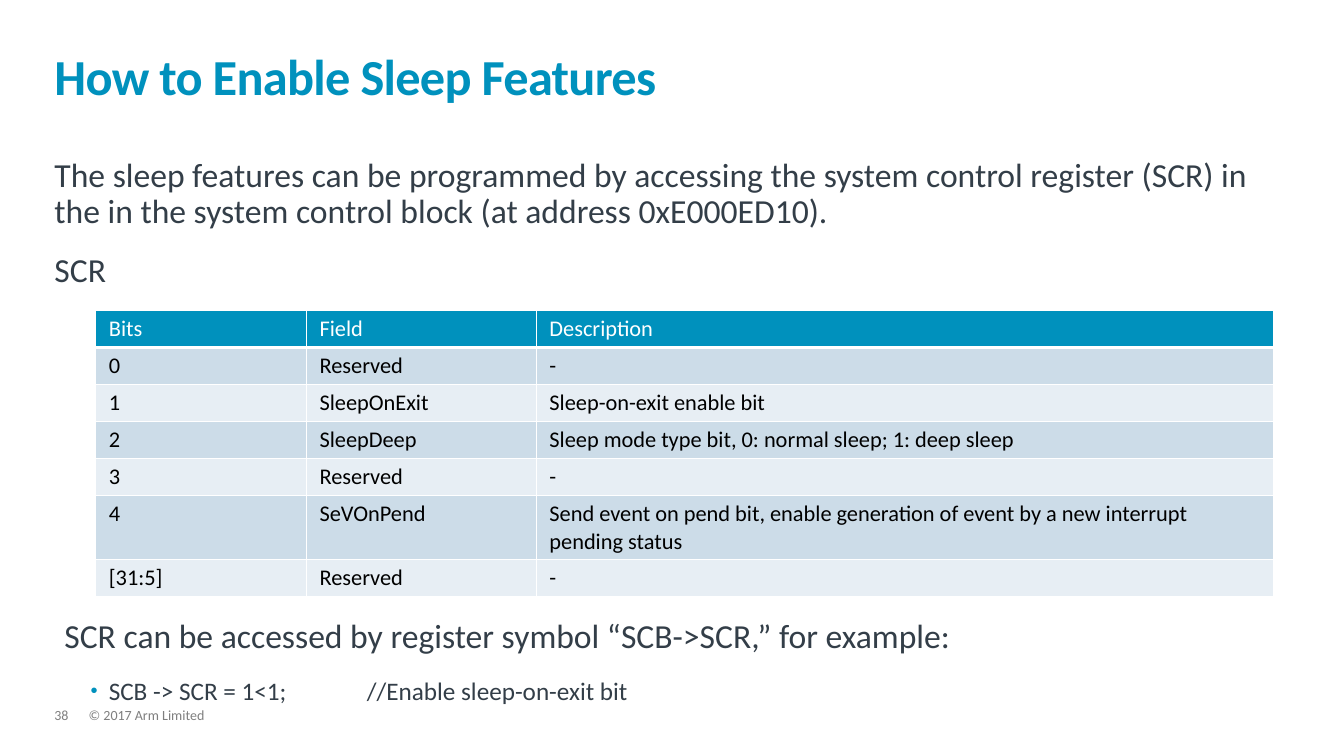
from lxml.etree import SubElement
from pptx import Presentation
from pptx.dml.color import RGBColor
from pptx.enum.text import MSO_ANCHOR, MSO_AUTO_SIZE
from pptx.oxml import parse_xml
from pptx.oxml.ns import nsdecls, qn
from pptx.util import Inches, Pt

BLUE = RGBColor(0x00, 0x91, 0xBD)
SLATE = RGBColor(0x33, 0x3E, 0x48)
GRAY = RGBColor(0x7F, 0x7F, 0x7F)
BLACK = RGBColor(0x00, 0x00, 0x00)
WHITE = RGBColor(0xFF, 0xFF, 0xFF)
BANDS = (RGBColor(0xE7, 0xEE, 0xF4), RGBColor(0xCC, 0xDC, 0xE8))

LEFT = 0.54
WIDTH = 12.23
FIELDS = [
    ("Bits", "Field", "Description"),
    ("0", "Reserved", "-"),
    ("1", "SleepOnExit", "Sleep-on-exit enable bit"),
    ("2", "SleepDeep", "Sleep mode type bit, 0: normal sleep; 1: deep sleep"),
    ("3", "Reserved", "-"),
    ("4", "SeVOnPend", "Send event on pend bit, enable generation of event "
                       "by a new interrupt pending status"),
    ("[31:5]", "Reserved", "-"),
]


class Page:
    def __init__(self, slide, face="Calibri"):
        self.slide = slide
        self.face = face

    def style(self, para, size, color, bold=None):
        for run in para.runs:
            font = run.font
            font.name, font.size, font.bold = self.face, Pt(size), bold
            font.color.rgb = color

    def text(self, box, lines, size, color, after=0, line=0.9, bold=None,
             pad=(0, 0), grow=False):
        """Add a text box; pad holds the side and the top/bottom inset."""
        frame = self.slide.shapes.add_textbox(*map(Inches, box)).text_frame
        frame.word_wrap = True
        frame.auto_size = (MSO_AUTO_SIZE.SHAPE_TO_FIT_TEXT if grow
                           else MSO_AUTO_SIZE.NONE)
        frame.margin_left = frame.margin_right = Inches(pad[0])
        frame.margin_top = frame.margin_bottom = Inches(pad[1])
        frame.text = "\n".join(lines)
        for para in frame.paragraphs:
            para.line_spacing = line
            para.space_after = Pt(after)
            self.style(para, size, color, bold)
        return frame

    def bullet(self, para, size, color, mark):
        props = para._p.get_or_add_pPr()
        props.set("marL", str(Inches(0.44)))
        props.set("indent", str(Inches(-0.18)))
        tint = SubElement(props, qn("a:buClr"))
        SubElement(tint, qn("a:srgbClr"), val=str(mark))
        SubElement(props, qn("a:buSzPct"), val="80000")
        SubElement(props, qn("a:buFont"), typeface="Arial")
        SubElement(props, qn("a:buChar"), char="•")
        para.line_spacing = 0.9
        para.space_after = Pt(12)
        self.style(para, size, color)

    def edges(self, cell, top, bottom):
        """Draw white cell borders, with the given top and bottom widths."""
        props = cell._tc.get_or_add_tcPr()
        for side, width in (("L", 1), ("R", 1), ("T", top), ("B", bottom)):
            props.append(parse_xml(
                f'<a:ln{side} {nsdecls("a")} w="{Pt(width)}"><a:solidFill>'
                f'<a:srgbClr val="{WHITE}"/></a:solidFill></a:ln{side}>'))

    def table(self, box, rows, widths, heights):
        grid = self.slide.shapes.add_table(
            len(rows), len(widths), *map(Inches, box)).table
        grid.first_row = grid.horz_banding = False
        for col, width in zip(grid.columns, widths):
            col.width = Inches(width)
        for r, row in enumerate(rows):
            grid.rows[r].height = Inches(heights[r])
            for c, words in enumerate(row):
                cell = grid.cell(r, c)
                cell.margin_left = cell.margin_right = Inches(0.13)
                cell.margin_top = cell.margin_bottom = Inches(0.05)
                self.edges(cell, 3 if r == 1 else 1, 3 if r == 0 else 1)
                cell.fill.solid()
                cell.fill.fore_color.rgb = BANDS[r % 2] if r else BLUE
                cell.text_frame.text = words
                self.style(cell.text_frame.paragraphs[0], 16,
                           BLACK if r else WHITE)


def main():
    deck = Presentation()
    deck.slide_width, deck.slide_height = Inches(13.33), Inches(7.5)
    page = Page(deck.slides.add_slide(deck.slide_layouts[6]))

    page.text((0.88, 7.03, 9.13, 0.15), ["© 2017 Arm Limited"], 10, GRAY,
              after=6, grow=True)
    page.text((LEFT, 7.03, 0.34, 0.15), ["38"], 10, GRAY, after=6, grow=True)

    title = page.text((LEFT, 0.32, WIDTH, 0.73),
                      ["How to Enable Sleep Features"], 36, BLUE,
                      line=0.85, bold=True)
    title.vertical_anchor = MSO_ANCHOR.BOTTOM
    title.paragraphs[0].runs[0]._r.get_or_add_rPr().set("spc", "-50")

    page.text((LEFT, 1.57, WIDTH, 1.1), [
        "The sleep features can be programmed by accessing the system control "
        "register (SCR) in the in the system control block "
        "(at address 0xE000ED10).",
        "SCR",
    ], 24, SLATE, after=16)

    page.table((0.95, 3.08, 11.68, 2.57), FIELDS, (2.09, 2.28, 7.31),
               [0.34] * 5 + [0.53, 0.34])

    usage = page.text((LEFT, 6.1, 12.09, 0.96), [
        "SCR can be accessed by register symbol “SCB->SCR,” for example:",
    ], 24, SLATE, after=16, pad=(0.1, 0.05), grow=True)
    code = usage.add_paragraph()
    code.text = "SCB -> SCR = 1<1;\t\t//Enable sleep-on-exit bit"
    code.level = 1
    page.bullet(code, 18, SLATE, BLUE)

    deck.save("out.pptx")


if __name__ == "__main__":
    main()
